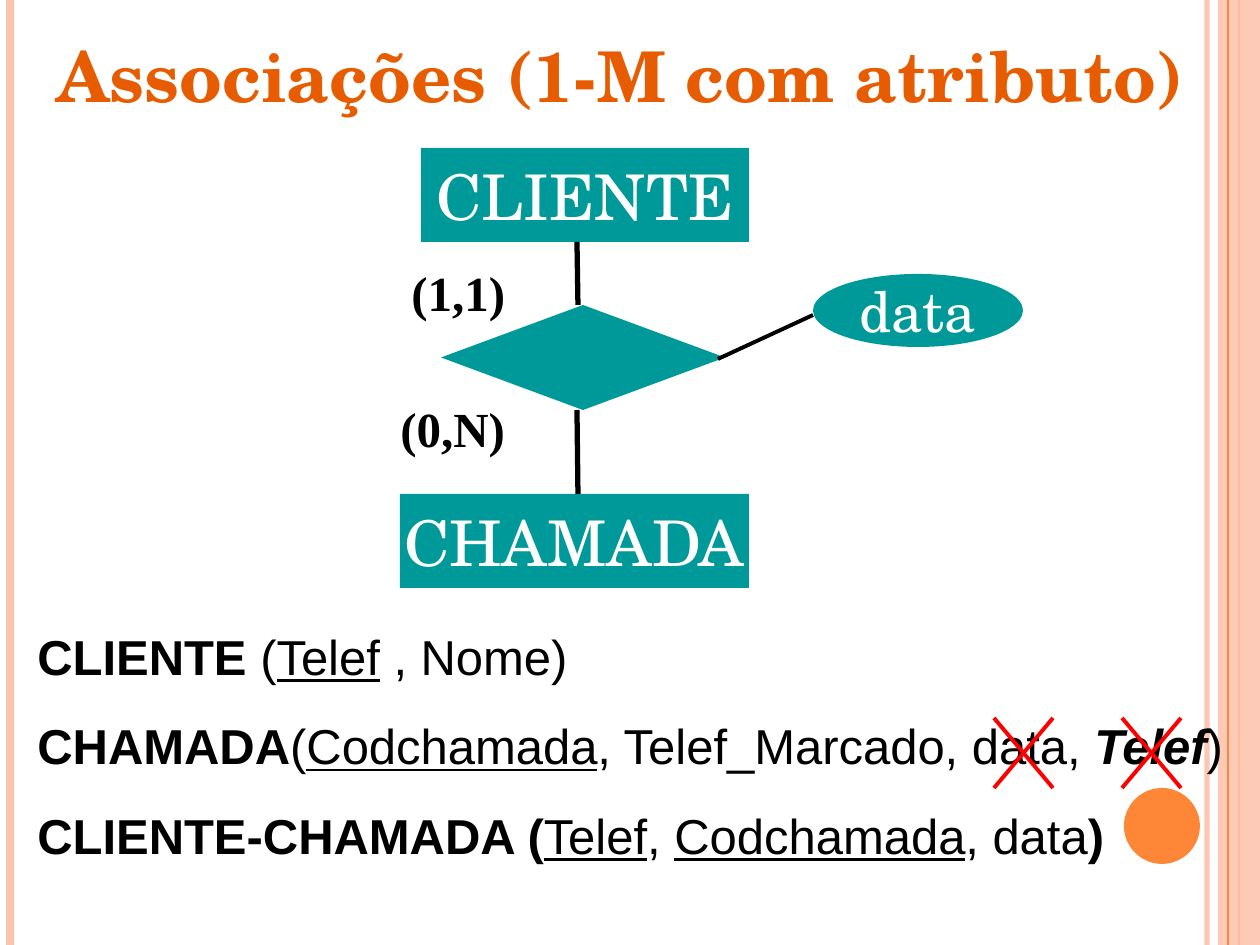
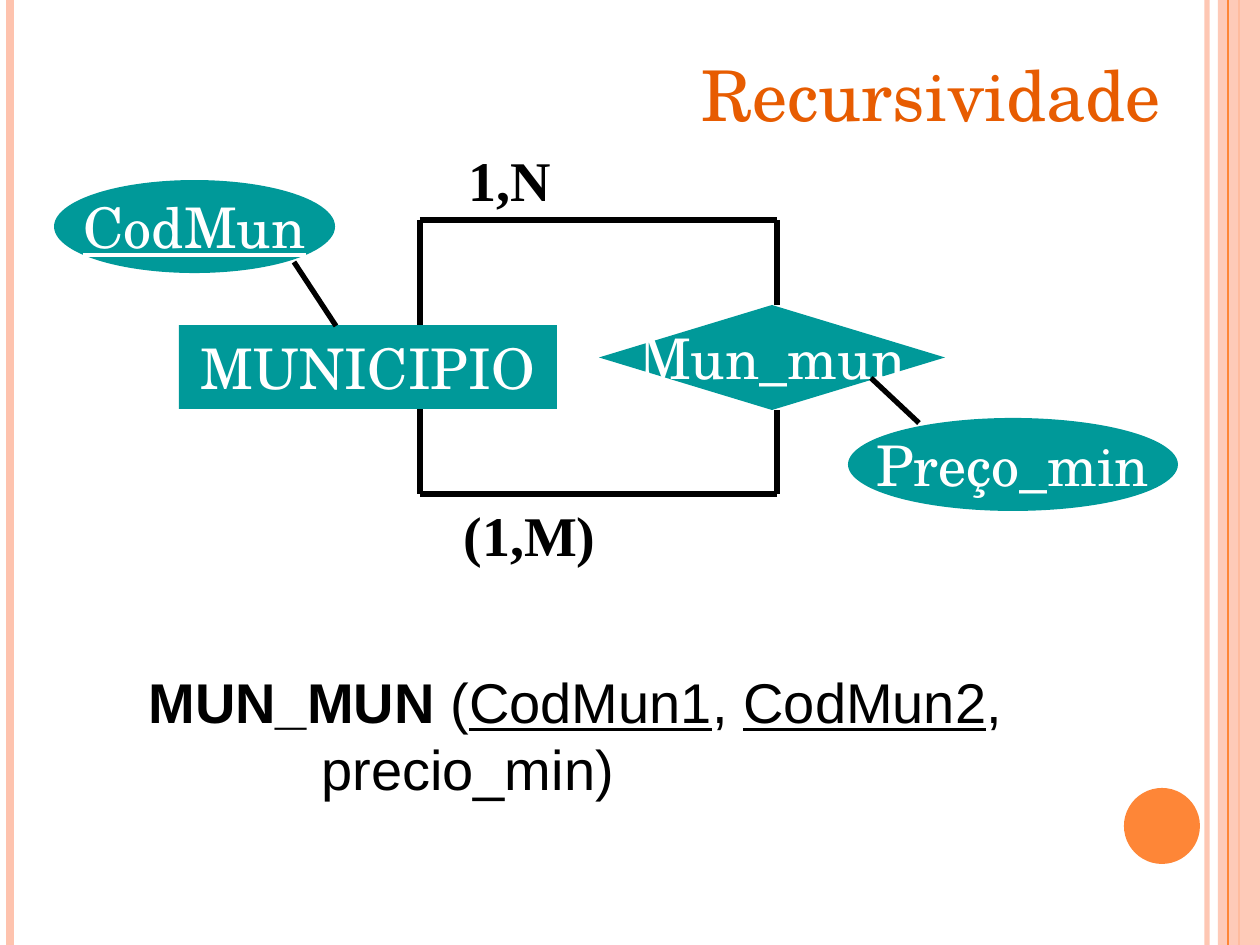
from lxml import etree
from pptx import Presentation
from pptx import util as u
from pptx.dml.color import RGBColor
from pptx.enum import shapes, text
from pptx.oxml.ns import qn

PX = 914400 / 126
WIDTH, HEIGHT = 1260, 945
COLORS = {"title": "E75C01", "entity": "009999", "label": "FFFFFF", "ink": "000000",
          "strike": "FF0000", "pale": "FEC3AE", "accent": "FE8637"}
SERIF, SANS, ROMAN = "TeX Gyre Schola", "Arial", "Times New Roman"
KINDS = {"entity": shapes.MSO_SHAPE.RECTANGLE, "relation": shapes.MSO_SHAPE.DIAMOND,
         "attribute": shapes.MSO_SHAPE.OVAL}

# x, colour, points, opacity in percent
STRIPES_BELOW = [(1207, "pale", 3, 93), (10, "pale", 4.5, 100), (1239, "accent", 1.5, 100)]
SIDE_BAND = (1218, 0, 42, HEIGHT)
STRIPE_ABOVE = (1228, "accent", 0.75, 100)
DISC = (1124, 788, 76, 76)

# The square around which the recursive relation loops
LEFT, TOP, RIGHT, BOTTOM = 420, 220, 777, 494

# Runs are (text, style); style letters: b bold, i italic, u underlined
SLIDES = [
    {
        "title": ("Associações (1-M com atributo)", "b", (44, 26, 1163, 97)),
        "nodes": [
            ("entity", "CLIENTE", "", 36, (421, 148, 328, 94)),
            ("relation", "", "", 36, (441, 305, 284, 105)),
            ("entity", "CHAMADA", "", 36, (400, 494, 349, 94)),
            ("attribute", "data", "", 32, (813, 274, 210, 73)),
        ],
        "links": [
            (577, 242, 578, 305, 3), (577, 410, 578, 494, 3), (718, 359, 813, 315, 2.25),
        ],
        "cardinalities": [("(1,1)", (399, 256, 147, 72)), ("(0,N)", (388, 392, 147, 72))],
        "size": 28,
        "schema_box": (25, 620, 1221, 254),
        "hanging": 0,
        "schema": [
            [("CLIENTE ", "b"), ("(", ""), ("Telef", "u"), (" , Nome)", "")],
            [("CHAMADA", "b"), ("(", ""), ("Codchamada", "u"),
             (", Telef_Marcado, data, ", ""), ("Telef", "bi"), (")", "")],
            [("CLIENTE-CHAMADA (", "b"), ("Telef", "u"), (", ", ""),
             ("Codchamada", "u"), (", data", ""), (")", "b")],
        ],
        "crosses": [(994, 718, 59, 70), (1122, 718, 59, 70)],
    },
    {
        "title": ("Recursividade", "", (689, 45, 489, 97)),
        "nodes": [
            ("entity", "MUNICIPIO", "", 32, (179, 325, 378, 84)),
            ("relation", "Mun_mun", "", 32, (599, 305, 346, 105)),
            ("attribute", "Preço_min", "", 32, (848, 418, 330, 93)),
            ("attribute", "CodMun", "u", 32, (54, 180, 281, 93)),
        ],
        "links": [
            (LEFT, TOP, RIGHT, TOP, 3), (LEFT, BOTTOM, RIGHT, BOTTOM, 3),
            (LEFT, TOP, LEFT, 325, 3), (LEFT, 409, LEFT, BOTTOM, 3),
            (RIGHT, TOP, RIGHT, 305, 3), (RIGHT, 410, RIGHT, BOTTOM, 3),
            (919, 423, 871, 378, 3), (336, 326, 294, 262, 3),
        ],
        "cardinalities": [("1,N", (456, 139, 160, 81)), ("(1,M)", (451, 494, 179, 81))],
        "size": 32,
        "schema_box": (136, 661, 1008, 149),
        "hanging": 173,
        "schema": [
            [("MUN_MUN", "b"), (" (", ""), ("CodMun1", "u"), (", ", ""),
             ("CodMun2", "u"), (", precio_min)", "")],
        ],
        "crosses": [],
    },
]


def emu(*lengths):
    return [u.Emu(round(length * PX)) for length in lengths]


def rgb(color):
    return RGBColor.from_string(COLORS[color])


def set_opacity(owner, percent):
    """Add transparency to the first solid colour below an element."""
    if percent < 100:
        color = owner.find(".//" + qn("a:srgbClr"))
        etree.SubElement(color, qn("a:alpha"), val=str(percent * 1000))


def add_line(slide, x1, y1, x2, y2, points, color="ink", opacity=100):
    line = slide.shapes.add_connector(shapes.MSO_CONNECTOR.STRAIGHT, *emu(x1, y1, x2, y2))
    line.line.width = u.Pt(points)
    line.line.color.rgb = rgb(color)
    properties = line._element.spPr
    set_opacity(properties, opacity)
    etree.SubElement(properties, qn("a:effectLst"))


def add_filled(slide, kind, box, color, opacity=100):
    shape = slide.shapes.add_shape(kind, *emu(*box))
    shape.shadow.inherit = False
    shape.fill.solid()
    shape.fill.fore_color.rgb = rgb(color)
    shape.line.fill.background()
    set_opacity(shape._element.spPr, opacity)
    return shape


def add_runs(paragraph, runs, font, size, color):
    for content, style in runs:
        run = paragraph.add_run()
        run.text = content
        run.font.name = font
        run.font.size = u.Pt(size)
        run.font.color.rgb = rgb(color)
        run.font.bold = "b" in style
        run.font.italic = "i" in style
        run.font.underline = "u" in style


def add_text(slide, box, paragraphs, font, size, color="ink", wrap=True, before=0, hanging=0):
    frame = slide.shapes.add_textbox(*emu(*box)).text_frame
    frame.word_wrap = wrap
    frame.auto_size = text.MSO_AUTO_SIZE.SHAPE_TO_FIT_TEXT
    for index, runs in enumerate(paragraphs):
        paragraph = frame.add_paragraph() if index else frame.paragraphs[0]
        paragraph.space_before = u.Pt(before)
        if hanging:
            indent, = emu(hanging)
            properties = paragraph._p.get_or_add_pPr()
            properties.set("marL", str(indent))
            properties.set("indent", str(-indent))
        add_runs(paragraph, runs, font, size, color)


def add_stripe(slide, x, color, points, opacity):
    add_line(slide, x, 0, x, HEIGHT, points, color, opacity)


def add_background(slide):
    for stripe in STRIPES_BELOW:
        add_stripe(slide, *stripe)
    add_filled(slide, shapes.MSO_SHAPE.RECTANGLE, SIDE_BAND, "pale", 87)
    add_stripe(slide, *STRIPE_ABOVE)
    add_filled(slide, shapes.MSO_SHAPE.OVAL, DISC, "accent")


def add_node(slide, kind, label, style, size, box):
    shape = add_filled(slide, KINDS[kind], box, "entity")
    if label:
        frame = shape.text_frame
        frame.word_wrap = False
        frame.vertical_anchor = text.MSO_ANCHOR.MIDDLE
        paragraph = frame.paragraphs[0]
        paragraph.alignment = text.PP_ALIGN.CENTER
        add_runs(paragraph, [(label, style)], SERIF, size, "label")


def add_cross(slide, left, top, width, height):
    right, bottom = left + width, top + height
    add_line(slide, left, top, right, bottom, 2.25, "strike")
    add_line(slide, left, bottom, right, top, 2.25, "strike")


def build_slide(presentation, content):
    slide = presentation.slides.add_slide(presentation.slide_layouts[6])
    add_background(slide)
    title, style, box = content["title"]
    add_text(slide, box, [[(title, style)]], SERIF, 40, "title", wrap=False)
    for node in content["nodes"]:
        add_node(slide, *node)
    for link in content["links"]:
        add_line(slide, *link)
    size = content["size"]
    before = size * 0.625
    for label, box in content["cardinalities"]:
        add_text(slide, box, [[(label, "b")]], ROMAN, size, before=before)
    add_text(slide, content["schema_box"], content["schema"], SANS, size,
             before=before, hanging=content["hanging"])
    for cross in content["crosses"]:
        add_cross(slide, *cross)


def main():
    presentation = Presentation()
    presentation.slide_width, presentation.slide_height = emu(WIDTH, HEIGHT)
    for content in SLIDES:
        build_slide(presentation, content)
    presentation.save("out.pptx")


if __name__ == "__main__":
    main()
